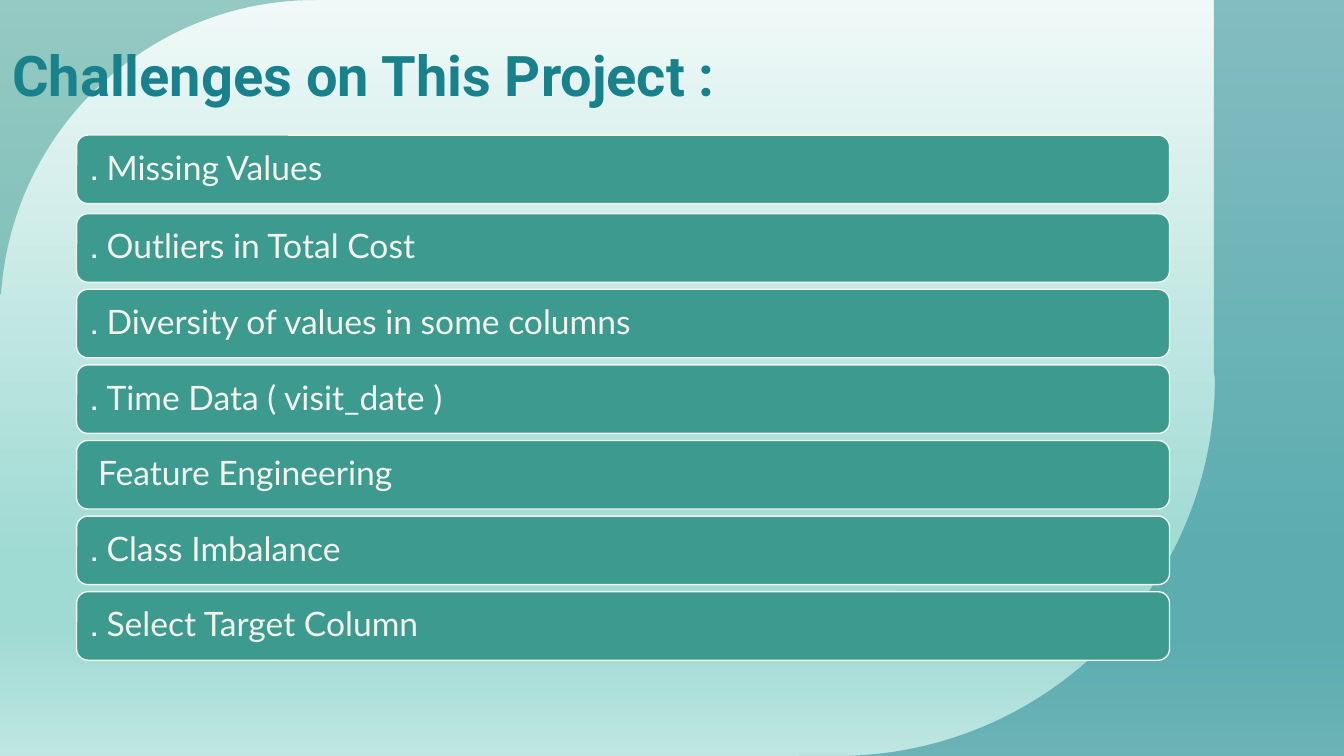
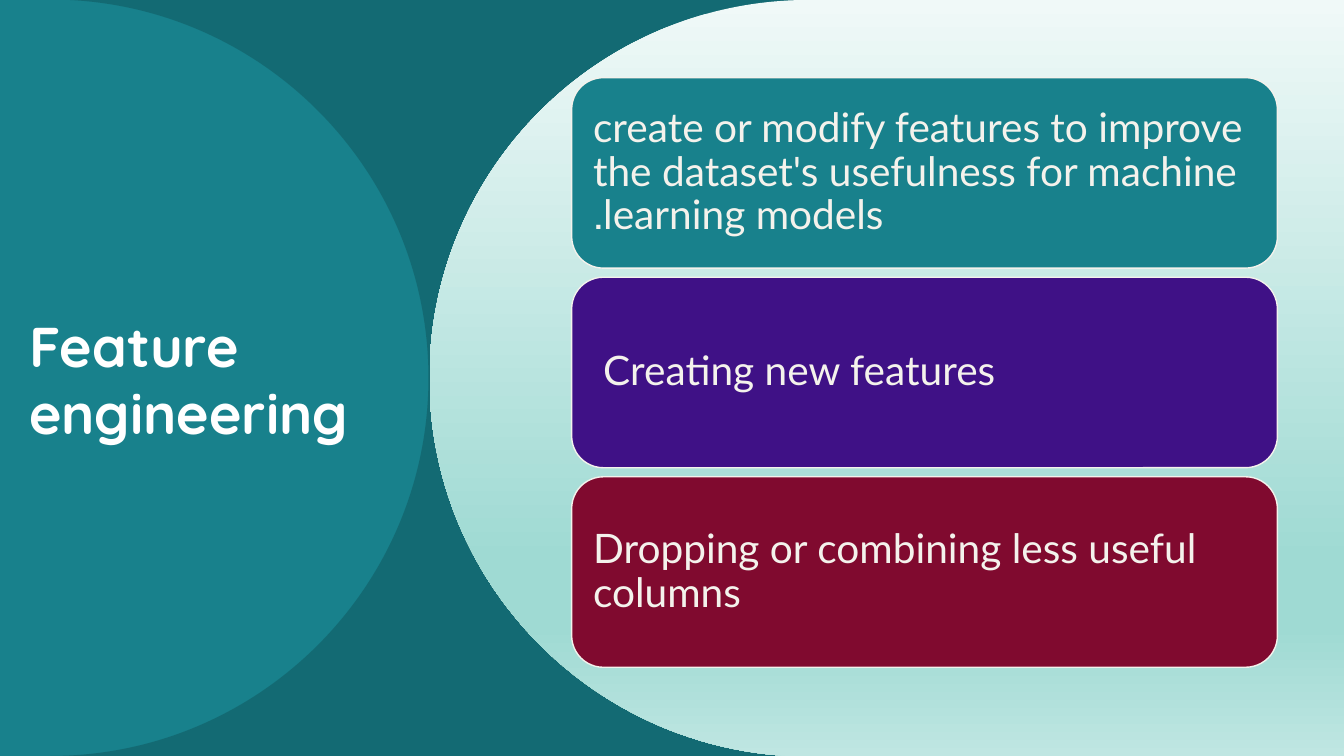
from dataclasses import dataclass

from lxml import etree
from pptx import Presentation
from pptx.dml.color import RGBColor
from pptx.enum.shapes import MSO_SHAPE
from pptx.enum.text import MSO_ANCHOR, PP_ALIGN
from pptx.oxml import parse_xml
from pptx.oxml.ns import nsdecls, qn
from pptx.util import Inches, Pt

RECTANGLE = MSO_SHAPE.RECTANGLE
ROUNDED = MSO_SHAPE.ROUNDED_RECTANGLE
MIDDLE = MSO_ANCHOR.MIDDLE
LEFT = PP_ALIGN.LEFT

WIDTH, HEIGHT = 13.33, 7.5
TEAL = "18818C"
DEEP_TEAL = "126169"
GREEN = "3C9A8F"
PURPLE = "3F1186"
WINE = "800A2F"
CREAM = "F4F2EC"
WHITE = "FFFFFF"
GRADIENT = ((0, "F0F9F8"), (74, "9FDAD3"), (83, "9FDAD3"), (100, "BFE6E2"))


@dataclass(frozen=True)
class Outline:
    steps: tuple
    color: str | None = None
    opacity: int = 100


@dataclass(frozen=True)
class Title:
    text: str
    left: float
    top: float
    width: float
    height: float
    font: str
    color: str


@dataclass(frozen=True)
class CardStyle:
    left: float
    width: float
    height: float
    size: float
    inset: float


@dataclass(frozen=True)
class Card:
    text: str
    top: float
    color: str
    nudge: float = 0


def rgb(color: str) -> RGBColor:
    return RGBColor.from_string(color)


def gradient_fill():
    stops = "".join(
        f'<a:gs pos="{place * 1000}"><a:srgbClr val="{color}"/></a:gs>'
        for place, color in GRADIENT
    )
    return parse_xml(
        f'<a:gradFill {nsdecls("a")} rotWithShape="0"><a:gsLst>{stops}</a:gsLst>'
        '<a:lin ang="5400000" scaled="0"/></a:gradFill>'
    )


def paint_gradient(fill, element) -> None:
    fill.solid()
    solid = element.find(".//" + qn("a:solidFill"))
    solid.getparent().replace(solid, gradient_fill())


def bend_lines(shape, steps: tuple) -> None:
    left = min(step[-2] for step in steps)
    top = min(step[-1] for step in steps)
    lines = list(shape.element.iter(qn("a:lnTo")))
    for line, step in zip(lines, steps[1:]):
        if len(step) == 2:
            continue
        curve = etree.Element(qn("a:cubicBezTo"))
        for x, y in zip(step[::2], step[1::2]):
            etree.SubElement(curve, qn("a:pt"),
                             x=str(Inches(x - left)), y=str(Inches(y - top)))
        line.getparent().replace(line, curve)


def draw_outline(page, outline: Outline) -> None:
    corners = [(Inches(step[-2]), Inches(step[-1])) for step in outline.steps]
    builder = page.shapes.build_freeform(*corners[0])
    builder.add_line_segments(corners[1:], close=True)
    shape = builder.convert_to_shape()
    bend_lines(shape, outline.steps)
    shape.shadow.inherit = False
    if outline.color is None:
        paint_gradient(shape.fill, shape.element.spPr)
    else:
        shape.fill.solid()
        shape.fill.fore_color.rgb = rgb(outline.color)
    if outline.opacity < 100:
        color = shape.element.spPr.find(".//" + qn("a:srgbClr"))
        etree.SubElement(color, qn("a:alpha"), val=str(outline.opacity * 1000))
    shape.line.fill.background()


def draw_backdrop(page) -> None:
    paint_gradient(page.background.fill, page.element)
    backdrop = page.shapes.add_shape(RECTANGLE, 0, 0, Inches(WIDTH), Inches(HEIGHT))
    backdrop.shadow.inherit = False
    paint_gradient(backdrop.fill, backdrop.element.spPr)
    backdrop.line.fill.background()


def write_text(box, text: str, font: str, size: float, color: str,
               insets: tuple, bold: bool = False):
    frame = box.text_frame
    frame.word_wrap = True
    frame.vertical_anchor = MIDDLE
    (frame.margin_left, frame.margin_top,
     frame.margin_right, frame.margin_bottom) = map(Inches, insets)
    para = frame.paragraphs[0]
    para.alignment = LEFT
    span = para.add_run()
    span.text = text
    span.font.name = font
    span.font.size = Pt(size)
    span.font.bold = bold
    span.font.color.rgb = rgb(color)
    return para


def draw_title(page, title: Title) -> None:
    box = page.shapes.add_textbox(
        Inches(title.left), Inches(title.top), Inches(title.width), Inches(title.height)
    )
    write_text(box, title.text, title.font, 40, title.color,
               (0.12, 0.12, 0.12, 0.1), bold=True)


def draw_card(page, card: Card, style: CardStyle) -> None:
    box = page.shapes.add_shape(
        ROUNDED, Inches(style.left), Inches(card.top),
        Inches(style.width), Inches(style.height),
    )
    box.shadow.inherit = False
    box.fill.solid()
    box.fill.fore_color.rgb = rgb(card.color)
    box.line.color.rgb = rgb(CREAM)
    box.line.width = Pt(1)
    inset = style.inset
    para = write_text(box, card.text, "Lato", style.size, CREAM,
                      (inset + card.nudge, inset, inset, inset))
    para.line_spacing = 0.9
    for properties in box.element.iter(qn("a:pPr")):
        properties.set("rtl", "1")


def add_page(deck, outlines: tuple, title: Title, cards: list, style: CardStyle) -> None:
    page = deck.slides.add_slide(deck.slide_layouts[6])
    draw_backdrop(page)
    for outline in outlines:
        draw_outline(page, outline)
    draw_title(page, title)
    for card in cards:
        draw_card(page, card, style)


def add_challenges(deck) -> None:
    outlines = (
        Outline(((0, 0), (3.13, 0), (1.51, 0, 0.18, 1.23, 0.02, 2.81),
                 (0.01, 2.92), (0, 2.92)), GREEN, 50),
        Outline(((12.04, 0), (WIDTH, 0), (WIDTH, HEIGHT), (7.92, HEIGHT),
                 (8.3, HEIGHT), (10.37, 7.5, 12.05, 5.82, 12.05, 3.75), (12.04, 3.7)),
                TEAL, 50),
    )
    title = Title("Challenges on This Project :", 0, 0, 10.84, 1.45, "Roboto", TEAL)
    others = (
        ("Outliers in Total Cost .", 0),
        ("Diversity of values in some columns .", 0),
        ("Time Data ( visit_date ) .", 0),
        ("Feature Engineering", 0.08),
        ("Class Imbalance .", 0),
        ("Select Target Column .", 0),
    )
    cards = [Card("Missing Values .", 1.34, GREEN)]
    cards += [Card(text, 2.12 + 0.75 * row, GREEN, nudge)
              for row, (text, nudge) in enumerate(others)]
    add_page(deck, outlines, title, cards, CardStyle(0.76, 10.84, 0.68, 24, 0.1))


def add_feature_engineering(deck) -> None:
    outlines = (
        Outline(((0, 0), (8.04, 0), (5.97, 0, 4.29, 1.68, 4.29, 3.75),
                 (4.29, 5.76, 5.86, 7.4, 7.85, 7.5), (0, HEIGHT)), TEAL),
        Outline(((8.54, HEIGHT), (0.5, HEIGHT), (2.57, 7.5, 4.25, 5.82, 4.25, 3.75),
                 (4.25, 1.74, 2.67, 0.1, 0.69, 0), (8.54, 0)), DEEP_TEAL, 70),
        Outline(((8.02, 0), (10.78, 0), (10.78, HEIGHT), (8, HEIGHT), (7.82, HEIGHT),
                 (5.84, 7.39, 4.26, 5.76, 4.26, 3.75),
                 (4.26, 1.68, 5.94, 0, 8.02, 0))),
    )
    title = Title("Feature engineering", 0.17, 0.75, 3.6, 6, "Quicksand", WHITE)
    steps = (
        ("create or modify features to improve the dataset's usefulness "
         "for machine learning models.", TEAL, 0),
        ("Creating new features", PURPLE, 0.1),
        ("Dropping or combining less useful columns", WINE, 0),
    )
    cards = [Card(text, 0.77 + 1.98 * row, color, nudge)
             for row, (text, color, nudge) in enumerate(steps)]
    add_page(deck, outlines, title, cards, CardStyle(5.67, 7, 1.89, 29, 0.12))


def main() -> None:
    deck = Presentation()
    deck.slide_width, deck.slide_height = Inches(WIDTH), Inches(HEIGHT)
    add_challenges(deck)
    add_feature_engineering(deck)
    deck.save("out.pptx")


if __name__ == "__main__":
    main()
